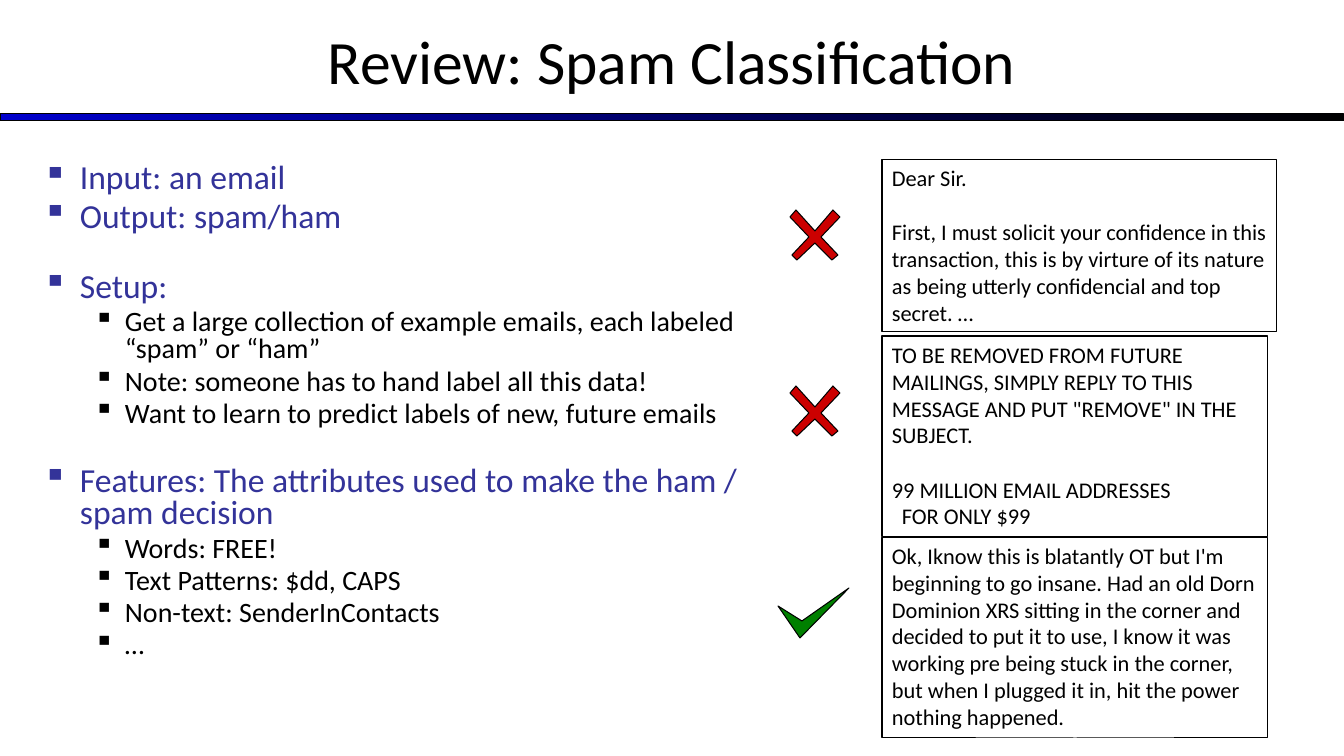
from lxml import etree
from pptx import Presentation
from pptx.dml.color import RGBColor
from pptx.enum.shapes import MSO_SHAPE
from pptx.enum.text import MSO_ANCHOR, PP_ALIGN
from pptx.oxml.ns import qn
from pptx.util import Pt

RECT = MSO_SHAPE.RECTANGLE
TOP, MIDDLE = MSO_ANCHOR.TOP, MSO_ANCHOR.MIDDLE
LEFT, CENTER = PP_ALIGN.LEFT, PP_ALIGN.CENTER

FONT = "Calibri"
BLACK, BLUE, INDIGO = "000000", "0000CC", "333399"
RED, GREEN = "CC0000", "008000"

TITLE = "Review: Spam Classification"
OUTLINE = [
    ("Input: an email", []),
    ("Output: spam/ham", []),
    ("Setup:", [
        "Get a large collection of example emails, each labeled “spam” or “ham”",
        "Note: someone has to hand label all this data!",
        "Want to learn to predict labels of new, future emails",
    ]),
    ("Features: The attributes used to make the ham / spam decision", [
        "Words: FREE!",
        "Text Patterns: $dd, CAPS",
        "Non-text: SenderInContacts",
        "…",
    ]),
]
# Per level: size (pt), colour, left margin (px), hanging indent (px), space before (pt)
LEVELS = [(24, INDIGO, 37, 37, 4.4), (20, BLACK, 82, 31, 3.8)]
SECTION_GAP = 27.3

# Each email: box in px, then lines of (text, space before in pt, indent in px)
EMAIL_GAP = 19.5
EMAILS = [
    ((882, 159, 395, 173), [
        ("Dear Sir.", 0, 0),
        ("First, I must solicit your confidence in this transaction, this is by "
         "virture of its nature as being utterly confidencial and top secret. …",
         EMAIL_GAP, 0),
    ]),
    ((882, 336, 386, 201), [
        ("TO BE REMOVED FROM FUTURE MAILINGS, SIMPLY REPLY TO THIS MESSAGE "
         'AND PUT "REMOVE" IN THE SUBJECT.', 0, 0),
        ("99 MILLION EMAIL ADDRESSES", EMAIL_GAP, 0),
        ("FOR ONLY $99", 0, 10),
    ]),
    ((882, 537, 386, 201), [
        ("Ok, Iknow this is blatantly OT but I'm beginning to go insane. Had an "
         "old Dorn Dominion XRS sitting in the corner and decided to put it to "
         "use, I know it was working pre being stuck in the corner, but when I "
         "plugged it in, hit the power nothing happened.", 0, 0),
    ]),
]

CROSS = [(0, 7), (19, 27), (2, 45), (7, 50), (25, 33), (42, 50),
         (48, 45), (31, 27), (50, 7), (43, 0), (25, 21), (6, 0)]
TICK = [(22, 50), (71, 0), (24, 33), (0, 18)]
MARKS = [(CROSS, 790, 210, RED), (CROSS, 790, 386, RED), (TICK, 778, 588, GREEN)]


def px(n):
    return round(n * 914400 / 100.8)


def rgb(value):
    return RGBColor.from_string(value)


def outline(s):
    s.line.color.rgb = rgb(BLACK)
    s.line.width = Pt(0.75)


def add_text_box(slide, box, anchor=TOP):
    s = slide.shapes.add_textbox(*map(px, box))
    s.text_frame.word_wrap = True
    s.text_frame.vertical_anchor = anchor
    return s


def add_line(tf, text, size, color, before=0, margin=0, hanging=0, align=LEFT):
    """Add a paragraph, reusing the empty first one; a hanging indent gets a bullet."""
    first = not tf.paragraphs[0].runs
    p = tf.paragraphs[0] if first else tf.add_paragraph()
    p.alignment = align
    p.space_before = Pt(0 if first else before)
    pPr = p._p.get_or_add_pPr()
    pPr.set("marL", str(px(margin)))
    pPr.set("indent", str(px(-hanging)))
    if hanging:
        p.line_spacing = 0.8
        bullet_color = etree.SubElement(pPr, qn("a:buClr"))
        etree.SubElement(bullet_color, qn("a:srgbClr"), val=color)
        etree.SubElement(pPr, qn("a:buChar"), char="▪")
    r = p.add_run()
    r.text = text
    r.font.name = FONT
    r.font.size = Pt(size)
    r.font.color.rgb = rgb(color)


def add_title(slide):
    bar = slide.shapes.add_shape(RECT, *map(px, (0, 114, 1344, 7)))
    bar.shadow.inherit = False
    bar.fill.gradient()
    bar.fill.gradient_angle = 0
    for stop, color in zip(bar.fill.gradient_stops, (BLUE, BLACK)):
        stop.color.rgb = rgb(color)
    outline(bar)
    s = add_text_box(slide, (0, -3, 1344, 126), MIDDLE)
    add_line(s.text_frame, TITLE, 44, BLACK, align=CENTER)


def add_outline(slide):
    tf = add_text_box(slide, (33, 159, 723, 554)).text_frame
    for heading, points in OUTLINE:
        for level, text in [(0, heading)] + [(1, point) for point in points]:
            size, color, margin, hanging, before = LEVELS[level]
            if level == 0 and points:
                before = SECTION_GAP
            add_line(tf, text, size, color, before, margin, hanging)


def add_emails(slide):
    for box, lines in EMAILS:
        s = add_text_box(slide, box)
        outline(s)
        for text, before, indent in lines:
            add_line(s.text_frame, text, 16, BLACK, before, indent)


def add_marks(slide):
    for points, left, top, color in MARKS:
        corners = [(px(left + x), px(top + y)) for x, y in points]
        builder = slide.shapes.build_freeform(*corners[0])
        builder.add_line_segments(corners[1:], close=True)
        s = builder.convert_to_shape()
        s.shadow.inherit = False
        s.fill.solid()
        s.fill.fore_color.rgb = rgb(color)
        outline(s)


def main():
    prs = Presentation()
    prs.slide_width, prs.slide_height = px(1344), px(756)
    slide = prs.slides.add_slide(prs.slide_layouts[6])
    add_title(slide)
    add_outline(slide)
    add_emails(slide)
    add_marks(slide)
    prs.save("out.pptx")


if __name__ == "__main__":
    main()
